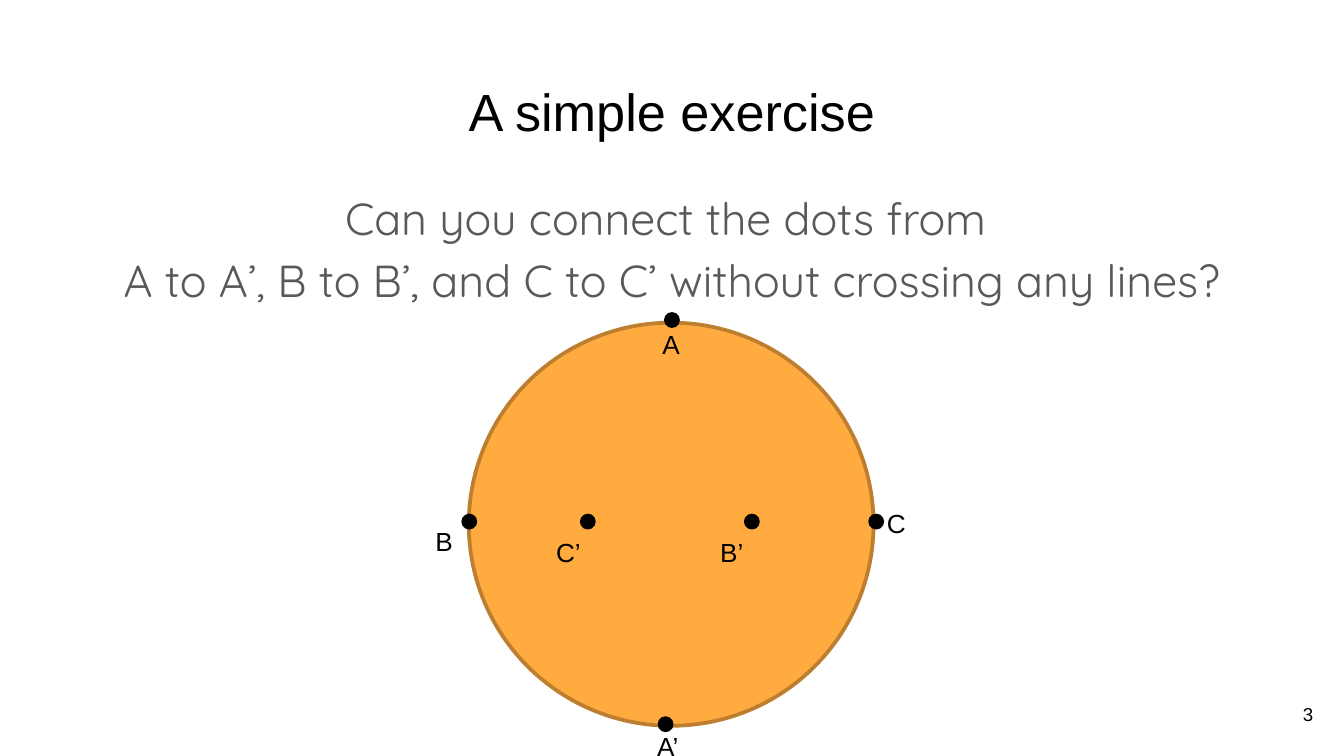
from dataclasses import dataclass

import pptx
import pptx.dml.color
import pptx.enum.shapes
import pptx.enum.text
import pptx.util

Cm = pptx.util.Cm
Pt = pptx.util.Pt
Align = pptx.enum.text.PP_ALIGN
Anchor = pptx.enum.text.MSO_ANCHOR
AutoSize = pptx.enum.text.MSO_AUTO_SIZE


@dataclass(frozen=True)
class Theme:
    black: str = "000000"
    grey: str = "595959"
    orange: str = "FFAB40"
    brown: str = "BD7F2F"
    sans: str = "Arial"
    rounded: str = "Quicksand"
    title: float = 28
    body: float = 24
    label: float = 14
    number: float = 10


@dataclass(frozen=True)
class Box:
    """Left, top, width and height in centimetres."""
    left: float
    top: float
    width: float
    height: float

    def lengths(self) -> list:
        return [Cm(v) for v in (self.left, self.top, self.width, self.height)]


@dataclass(frozen=True)
class TextStyle:
    size: float
    font: str = Theme.sans
    color: str = Theme.black
    align: Align = Align.LEFT
    anchor: Anchor = Anchor.TOP
    spacing: float = 1.0
    inset_y: float = 0.25
    auto_size: AutoSize = AutoSize.NONE


@dataclass(frozen=True)
class Point:
    """A named dot: its centre, and the corner and width of its label."""
    name: str
    x: float
    y: float
    label_left: float
    label_top: float
    label_width: float
    grouped: bool = True


THEME = Theme()
DOT_SIZE = 0.3
LABEL_HEIGHT = 0.86
MIDDLE_Y = 9.86
DISC = Box(8.86, 6.1, 7.65, 7.62)

TITLE = TextStyle(THEME.title, align=Align.CENTER)
BODY = TextStyle(THEME.body, THEME.rounded, THEME.grey, Align.CENTER, spacing=1.15)
NUMBER = TextStyle(THEME.number, align=Align.RIGHT, anchor=Anchor.MIDDLE)
LABEL = TextStyle(THEME.label, inset_y=0.13, auto_size=AutoSize.SHAPE_TO_FIT_TEXT)

TEXTS = [
    (Box(0.86, 1.24, 23.67, 1.6), ["A simple exercise"], TITLE),
    (Box(0.86, 3.2, 23.67, 2.49),
     ["Can you connect the dots from ",
      "A to A’, B to B’, and C to C’ without crossing any lines?"], BODY),
    (Box(23.55, 12.95, 1.52, 1.09), ["3"], NUMBER),
]

POINTS = [
    Point("A", 12.7, 6.05, 12.27, 6.07, 0.84, grouped=False),
    Point("A’", 12.58, 13.69, 12.17, 13.67, 1.07, grouped=False),
    Point("B", 8.87, MIDDLE_Y, 7.98, 9.8, 0.84),
    Point("B’", 14.21, MIDDLE_Y, 13.36, 10.01, 0.99),
    Point("C", 16.56, MIDDLE_Y, 16.51, 9.47, 0.89),
    Point("C’", 11.11, MIDDLE_Y, 10.26, 10.01, 0.99),
]


def rgb(color: str) -> pptx.dml.color.RGBColor:
    return pptx.dml.color.RGBColor.from_string(color)


def add_text(shapes, box: Box, lines: list[str], style: TextStyle) -> None:
    tf = shapes.add_textbox(*box.lengths()).text_frame
    frame = {
        "word_wrap": True,
        "auto_size": style.auto_size,
        "vertical_anchor": style.anchor,
        "margin_left": Cm(0.25),
        "margin_right": Cm(0.25),
        "margin_top": Cm(style.inset_y),
        "margin_bottom": Cm(style.inset_y),
    }
    for name, value in frame.items():
        setattr(tf, name, value)
    for i, line in enumerate(lines):
        p = tf.add_paragraph() if i else tf.paragraphs[0]
        p.alignment = style.align
        p.line_spacing = style.spacing
        r = p.add_run()
        r.text = line
        for name, value in {"name": style.font, "size": Pt(style.size)}.items():
            setattr(r.font, name, value)
        r.font.color.rgb = rgb(style.color)


def add_ellipse(shapes, box: Box, fill: str, line: str | None = None) -> None:
    s = shapes.add_shape(pptx.enum.shapes.MSO_SHAPE.OVAL, *box.lengths())
    s.shadow.inherit = False
    s.fill.solid()
    s.fill.fore_color.rgb = rgb(fill)
    if line:
        s.line.color.rgb = rgb(line)
        s.line.width = Pt(2)
    else:
        s.line.fill.background()


def add_point(shapes, point: Point) -> None:
    if point.grouped:
        shapes = shapes.add_group_shape().shapes
    add_text(shapes,
             Box(point.label_left, point.label_top, point.label_width, LABEL_HEIGHT),
             [point.name], LABEL)
    r = DOT_SIZE / 2
    add_ellipse(shapes, Box(point.x - r, point.y - r, DOT_SIZE, DOT_SIZE), THEME.black)


def main() -> None:
    prs = pptx.Presentation()
    prs.slide_width, prs.slide_height = Cm(25.4), Cm(14.29)
    shapes = prs.slides.add_slide(prs.slide_layouts[6]).shapes
    for box, lines, style in TEXTS:
        add_text(shapes, box, lines, style)
    add_ellipse(shapes, DISC, THEME.orange, THEME.brown)
    for point in POINTS:
        add_point(shapes, point)
    prs.save("out.pptx")


if __name__ == "__main__":
    main()
